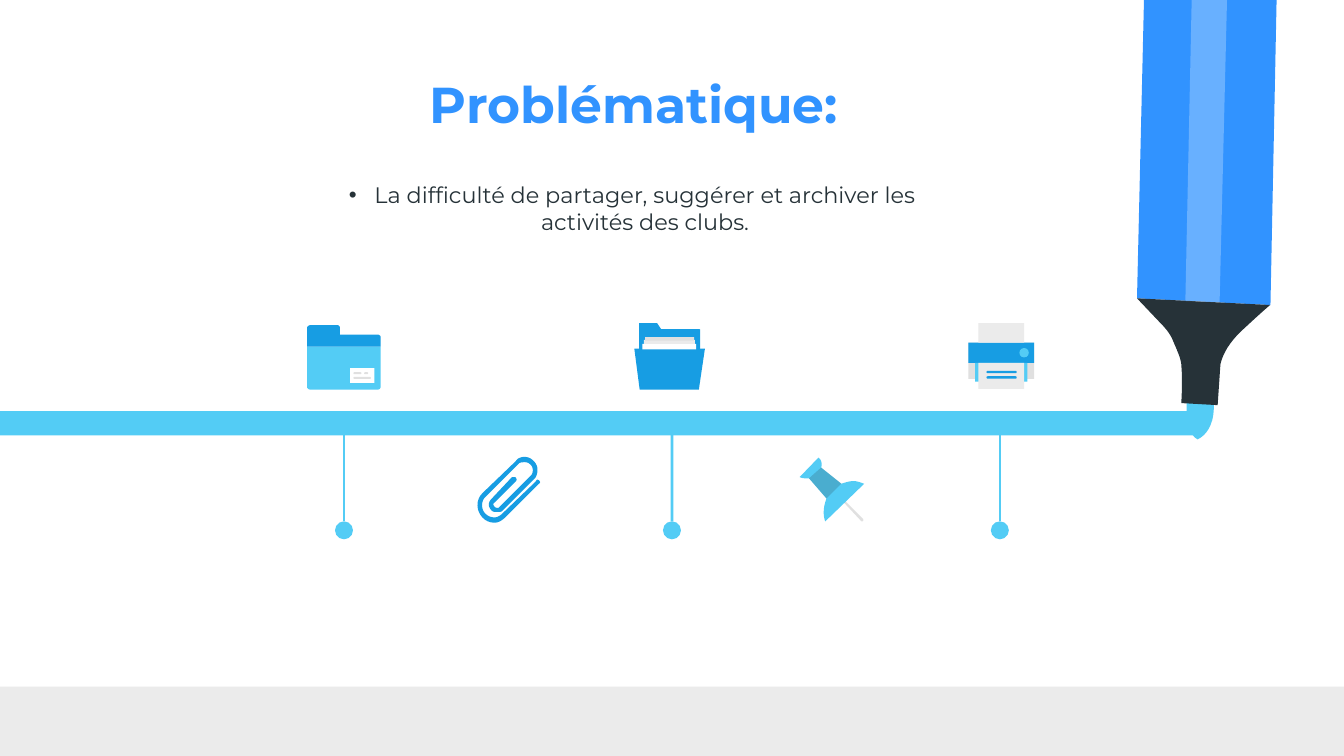
from lxml.etree import SubElement
from pptx import Presentation
from pptx.dml.color import RGBColor
from pptx.enum.shapes import MSO_CONNECTOR, MSO_SHAPE
from pptx.enum.text import MSO_ANCHOR, PP_ALIGN
from pptx.oxml.ns import qn
from pptx.util import Cm, Pt

FONT = "Montserrat"
BLUE, SKY, AZURE = "3193FF", "53CCF5", "179DE3"
DARK, WHITE, PALE, GREY = "263238", "FFFFFF", "EBEBEB", "E0E0E0"


def u(value):
    """Return a length given in hundredths of an inch."""
    return Cm(0.0254 * value)


def rgb(color):
    """Turn a hex string into a colour."""
    return RGBColor.from_string(color)


def paint(sp, color, alpha=None):
    """Give a shape a plain fill, with opacity in percent if asked."""
    sp.shadow.inherit = False
    sp.fill.solid()
    sp.fill.fore_color.rgb = rgb(color)
    sp.line.fill.background()
    if alpha is not None:
        clr = sp._element.spPr.find(qn("a:solidFill")).find(qn("a:srgbClr"))
        SubElement(clr, qn("a:alpha")).set("val", str(alpha * 1000))
    return sp


def add_preset(shapes, box, color, kind=MSO_SHAPE.RECTANGLE):
    """Add a filled preset shape in the box (left, top, width, height)."""
    return paint(shapes.add_shape(kind, *map(u, box)), color)


def add_bar(shapes, box, color):
    """Add a thin bar with fully rounded ends."""
    sp = add_preset(shapes, box, color, MSO_SHAPE.ROUNDED_RECTANGLE)
    sp.adjustments[0] = 0.5


def bezier(a, b, c, d, t):
    """Return one coordinate of a cubic curve at t."""
    k = 1 - t
    return k**3 * a + 3 * k * k * t * b + 3 * k * t * t * c + t**3 * d


def add_outline(shapes, steps, color, alpha=None, parts=12):
    """Add a closed outline; two numbers make a line, six make a curve."""
    points = [steps[0]]
    for step in steps[1:]:
        if len(step) == 2:
            points.append(step)
            continue
        xs, ys = zip(points[-1], step[:2], step[2:4], step[4:])
        points += [(bezier(*xs, i / parts), bezier(*ys, i / parts))
                   for i in range(1, parts + 1)]
    points = [(u(x), u(y)) for x, y in points]
    builder = shapes.build_freeform(*points[0], scale=1.0)
    builder.add_line_segments(points[1:], close=True)
    return paint(builder.convert_to_shape(), color, alpha)


def add_text(shapes, box, text, size, color, bold=False, anchor=MSO_ANCHOR.TOP):
    """Add a centred text box and return its paragraph."""
    tf = shapes.add_textbox(*map(u, box)).text_frame
    tf.word_wrap = True
    tf.vertical_anchor = anchor
    tf.margin_left = tf.margin_right = tf.margin_top = tf.margin_bottom = u(10)
    p = tf.paragraphs[0]
    p.text = text
    p.alignment = PP_ALIGN.CENTER
    font = p.runs[0].font
    font.name, font.size, font.bold = FONT, Pt(size), bold
    font.color.rgb = rgb(color)
    return p


def add_bullet(p, color, indent):
    """Give a paragraph a round bullet with a hanging indent."""
    pPr = p._p.get_or_add_pPr()
    pPr.set("marL", str(u(indent)))
    pPr.set("indent", str(-u(indent)))
    SubElement(SubElement(pPr, qn("a:buClr")), qn("a:srgbClr")).set("val", color)
    SubElement(pPr, qn("a:buFont")).set("typeface", "Arial")
    SubElement(pPr, qn("a:buChar")).set("char", "•")


def add_marker(shapes, x):
    """Hang a dot from the timeline at x."""
    dot = add_preset(shapes, (x - 6.7, 388, 13.4, 13.4), SKY, MSO_SHAPE.OVAL)
    line = shapes.add_connector(MSO_CONNECTOR.STRAIGHT, u(x), u(316), u(x), u(388))
    line.end_connect(dot, 0)
    line.line.color.rgb = rgb(SKY)
    line.line.width = Pt(1.5)
    SubElement(line._element.spPr, qn("a:effectLst"))


def add_pen(shapes):
    """Draw the highlighter pen."""
    add_outline(shapes, [(945.3, 227), (954, -205), (856, -204), (846, 222)], BLUE)
    add_outline(shapes, [(891, 327), (891, 327, 905, 322, 903, 298), (883, 297),
                         (883, 297, 881, 322, 891, 327)], SKY)
    add_outline(shapes, [(906, 301.5), (908, 272), (908, 272, 909, 260, 924, 246),
                         (939, 232, 945, 227, 945, 227), (846, 222), (864, 241),
                         (868, 245, 871, 249, 873, 254),
                         (875, 259, 879, 267, 879, 272),
                         (880, 282, 879, 300, 879, 300)], DARK)
    add_outline(shapes, [(907.5, 225), (918, -204), (891, -204), (882, 224)], WHITE, 27)


def add_closed_folder(shapes):
    """Draw the folder with a label."""
    add_outline(shapes, [(228.5, 258), (228.5, 288), (228.5, 289, 230, 290, 231, 290),
                         (281, 290), (282, 290, 283.3, 289, 283.3, 288),
                         (283.3, 258)], SKY)
    add_outline(shapes, [(251, 242), (231, 242), (230, 242, 228.5, 243, 228.5, 244),
                         (228.5, 258), (283.3, 258), (283.3, 251),
                         (283.3, 250, 282, 249, 281, 249), (253, 249), (253, 244),
                         (253, 243, 252, 242, 251, 242)], AZURE)
    add_preset(shapes, (260.5, 274, 18, 11), WHITE)
    for x, y, width in ((263, 277, 6), (271, 277, 3), (263, 280.5, 13)):
        add_bar(shapes, (x, y, width, 1.5), GREY)


def add_open_folder(shapes):
    """Draw the folder with sheets inside."""
    add_outline(shapes, [(472, 259.5), (476, 290), (520, 290), (524.5, 259.5)], AZURE)
    add_outline(shapes, [(475.5, 240.5), (475.5, 260), (521, 260), (521, 246),
                         (521, 245, 521, 245, 520, 245), (492, 245),
                         (489, 240.5)], AZURE)
    add_preset(shapes, (478, 256, 40, 4), WHITE)
    add_preset(shapes, (479, 253, 38, 3), PALE)
    add_preset(shapes, (480, 251, 36.5, 2.5), GREY)


def add_printer(shapes):
    """Draw the printer."""
    for box, color in (((720.5, 255, 49, 27), GREY), ((720.5, 255, 49, 15), AZURE),
                       ((725.5, 270, 39, 14), SKY), ((728, 240.5, 34, 14.5), PALE),
                       ((728, 270, 34, 19.5), PALE)):
        add_preset(shapes, box, color)
    for y in (276, 280):
        add_bar(shapes, (734, y, 22.5, 1.8), AZURE)
    add_preset(shapes, (758.5, 259, 7, 7), SKY, MSO_SHAPE.OVAL)


def add_pin(shapes):
    """Draw the push pin."""
    add_outline(shapes, [(629, 373), (628, 373, 627, 374, 628, 374), (641, 388),
                         (642, 388.5, 643, 387, 642, 386)], GREY)
    add_outline(shapes, [(609, 340.5), (595, 355), (597, 356, 599, 356, 602, 356),
                         (615, 371), (615, 371, 611, 380, 614, 388), (643, 360),
                         (640, 359, 638, 358, 635, 358), (632, 358, 629, 359, 626, 360),
                         (611, 348), (612, 345, 611, 342, 609, 340.5)], SKY)
    add_outline(shapes, [(611, 348), (602, 356), (615, 371), (626, 360)], DARK, 20)


def add_clip(shapes):
    """Draw the paper clip."""
    add_outline(shapes, [
        (390, 340), (388, 340, 385, 341, 384, 343), (359, 367),
        (351, 375, 357, 389, 368, 389), (371, 389, 374, 387, 376, 385), (401, 360),
        (403, 359, 401, 357, 400, 357), (400, 357, 399, 357, 399, 358), (374, 382),
        (372, 384, 370, 385, 368, 385), (365, 385, 363, 384, 361, 382),
        (358, 379, 358, 373, 361, 370), (386, 345), (387, 344, 389, 344, 390, 344),
        (392, 344, 393, 344, 395, 346), (397, 348, 397, 352, 395, 354), (372, 377),
        (371, 378, 371, 378, 370, 378), (368, 378, 366, 375, 368, 374), (384, 358),
        (385, 357, 384, 355, 383, 355), (382, 355, 382, 355, 381, 355), (366, 371),
        (363, 374, 363, 377, 366, 380), (367, 381, 368, 381, 370, 381),
        (372, 381, 373, 381, 374, 380), (398, 356), (399, 355, 400, 352, 400, 350),
        (400, 347, 399, 345, 397, 343), (395, 341, 393, 340, 390, 340)], AZURE)


def main():
    """Build the slide and save it."""
    prs = Presentation()
    prs.slide_width, prs.slide_height = Cm(25.4), Cm(14.29)
    shapes = prs.slides.add_slide(prs.slide_layouts[6]).shapes
    add_preset(shapes, (0, 511, 1000, 51.6), PALE)
    add_preset(shapes, (0, 306, 892, 18), SKY)
    add_pen(shapes.add_group_shape().shapes)
    add_text(shapes, (50, 59, 843, 35), "Problématique:", 27, BLUE, True,
             MSO_ANCHOR.MIDDLE)
    for draw in (add_closed_folder, add_open_folder, add_printer, add_pin):
        draw(shapes.add_group_shape().shapes)
    add_clip(shapes)
    for i in range(3):
        add_marker(shapes, 256 + 244 * i)
    p = add_text(shapes, (240, 125, 461, 56), "La difficulté de partager, suggérer "
                 "et archiver les activités des clubs.", 12, DARK)
    add_bullet(p, DARK, 19)
    prs.save("out.pptx")


if __name__ == "__main__":
    main()
